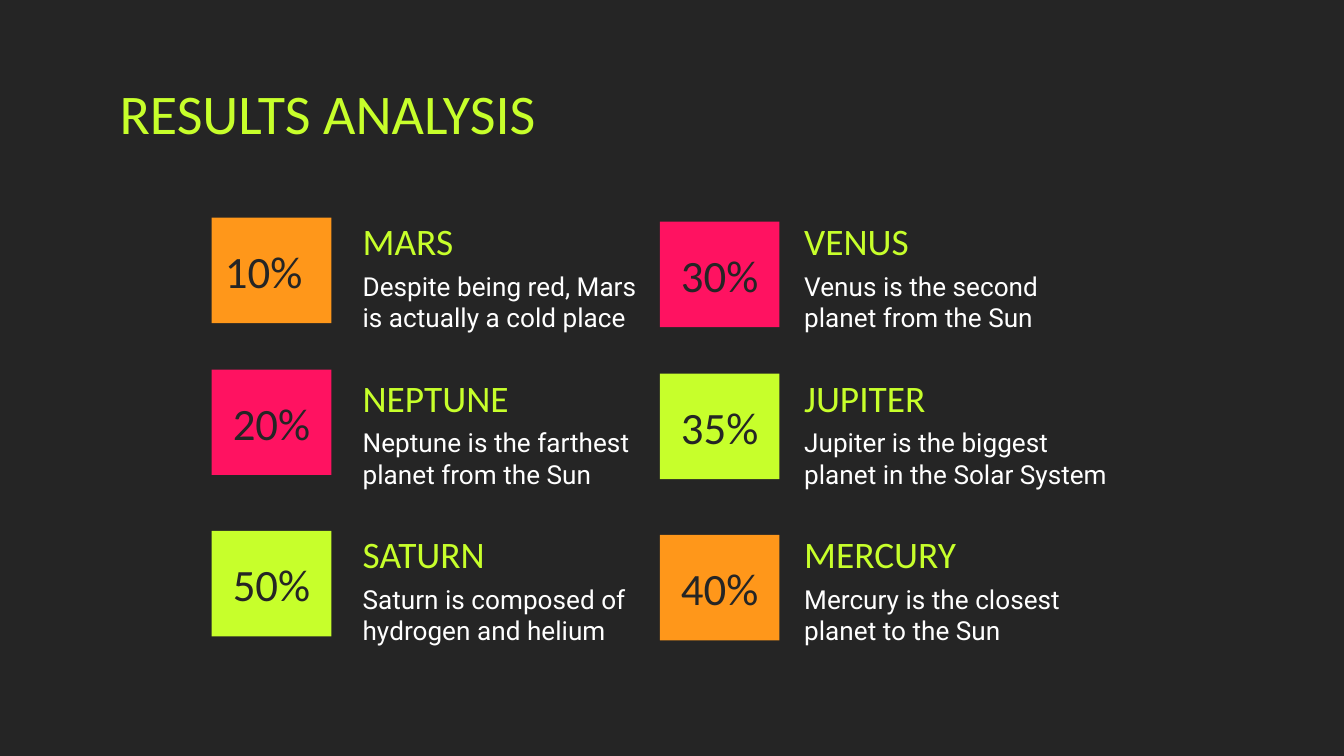
import pptx
import pptx.dml.color
import pptx.enum.shapes
import pptx.enum.text
import pptx.util

RGBColor = pptx.dml.color.RGBColor
DARK = RGBColor(0x25, 0x25, 0x25)
LIME = RGBColor(0xC7, 0xFF, 0x2B)
PINK = RGBColor(0xFF, 0x12, 0x61)
ORANGE = RGBColor(0xFF, 0x97, 0x1A)
WHITE = RGBColor(0xFF, 0xFF, 0xFF)
LEFT = pptx.enum.text.PP_ALIGN.LEFT
CENTER = pptx.enum.text.PP_ALIGN.CENTER
TOP = pptx.enum.text.MSO_ANCHOR.TOP
MIDDLE = pptx.enum.text.MSO_ANCHOR.MIDDLE
PX = 4572

ROW_STEP = 233
TILE_TOPS = (324, 550, 790)
COLUMNS = (
    dict(tile_left=315, tile_drop=0, text_left=520, body_width=452, planets=(
        ("10%", ORANGE, LEFT, "MARS", "Despite being red, Mars is actually a cold place"),
        ("20%", PINK, CENTER, "NEPTUNE", "Neptune is the farthest planet from the Sun"),
        ("50%", LIME, CENTER, "SATURN", "Saturn is composed of hydrogen and helium"),
    )),
    dict(tile_left=982, tile_drop=6, text_left=1177, body_width=504, planets=(
        ("30%", PINK, CENTER, "VENUS", "Venus is the second planet from the Sun"),
        ("35%", LIME, CENTER, "JUPITER", "Jupiter is the biggest planet in the Solar System"),
        ("40%", ORANGE, CENTER, "MERCURY", "Mercury is the closest planet to the Sun"),
    )),
)


def write(shape, text, size, color, font="Calibri", align=LEFT, anchor=TOP):
    frame = shape.text_frame
    frame.word_wrap = True
    frame.auto_size = pptx.enum.text.MSO_AUTO_SIZE.NONE
    frame.vertical_anchor = anchor
    frame.margin_left = frame.margin_right = 20 * PX
    frame.margin_top = frame.margin_bottom = 20 * PX
    para = frame.paragraphs[0]
    para.alignment = align
    para.line_spacing = 1.0
    span = para.add_run()
    span.text = text
    span.font.name = font
    span.font.size = pptx.util.Pt(size)
    span.font.color.rgb = color


class PlanetSlide:
    """Holds the style and the current slide, and draws its elements."""

    def __init__(self, deck):
        self.page = deck.slides.add_slide(deck.slide_layouts[5])
        self.page.background.fill.solid()
        self.page.background.fill.fore_color.rgb = DARK

    def title(self, text, left, top, width, height):
        box = self.page.shapes.title
        box.left, box.top = left * PX, top * PX
        box.width, box.height = width * PX, height * PX
        write(box, text, 30, LIME)

    def text(self, text, left, top, width, height, **style):
        box = self.page.shapes.add_textbox(left * PX, top * PX, width * PX, height * PX)
        write(box, text, **style)

    def tile(self, text, left, top, fill, align):
        box = self.page.shapes.add_shape(
            pptx.enum.shapes.MSO_SHAPE.RECTANGLE, left * PX, top * PX, 178 * PX, 157 * PX)
        box.shadow.inherit = False
        box.fill.solid()
        box.fill.fore_color.rgb = fill
        box.line.fill.background()
        write(box, text, 24, DARK, align=align, anchor=MIDDLE)


def main():
    deck = pptx.Presentation()
    deck.slide_width, deck.slide_height = 2000 * PX, 1125 * PX
    slide = PlanetSlide(deck)
    slide.title("RESULTS ANALYSIS", 158, 97, 1686, 126)
    for column in COLUMNS:
        left = column["text_left"]
        for row, (share, fill, align, name, fact) in enumerate(column["planets"]):
            top = 305 + row * ROW_STEP
            slide.text(name, left, top, 340, 116, size=20, color=LIME)
            slide.text(fact, left, top + 77, column["body_width"], 106,
                       size=14, color=WHITE, font="Roboto")
            slide.tile(share, column["tile_left"], TILE_TOPS[row] + column["tile_drop"],
                       fill, align)
    deck.save("out.pptx")


if __name__ == "__main__":
    main()
